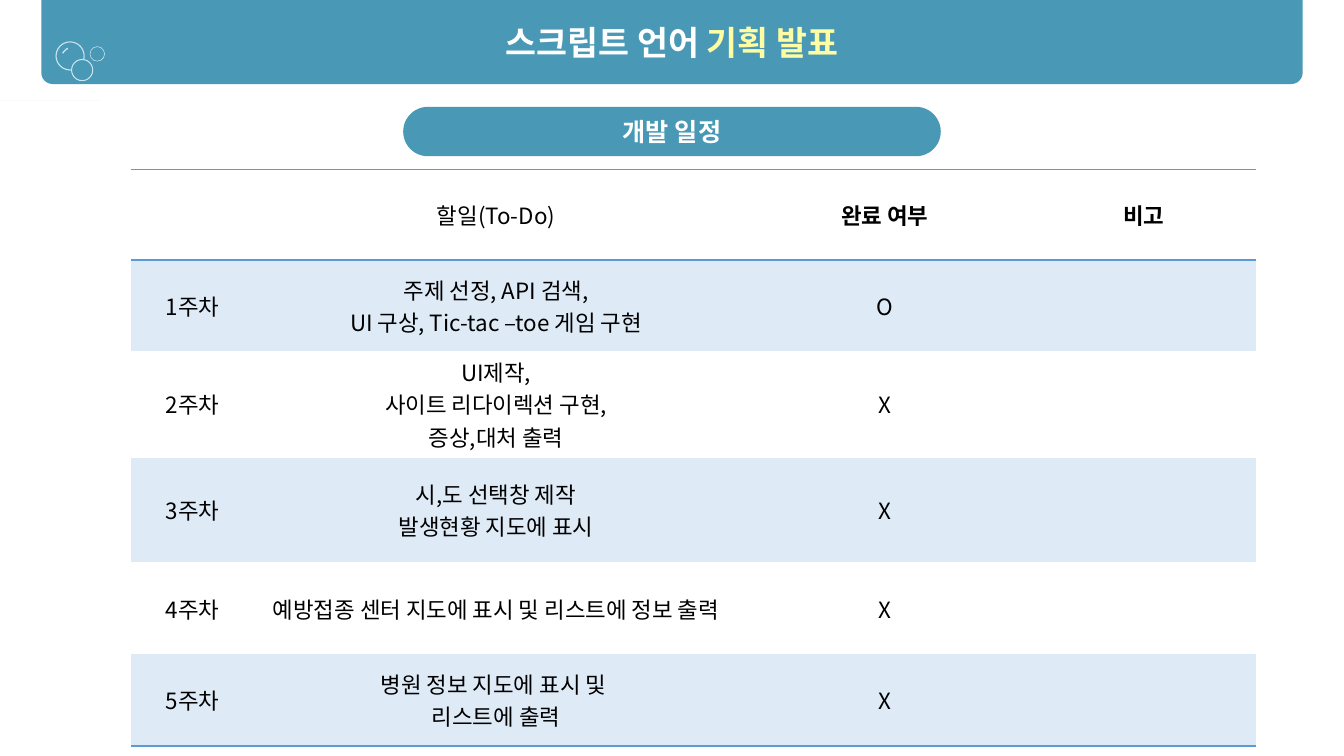
import math
import pptx
import pptx.util
import pptx.dml.color
import pptx.enum.shapes
import pptx.enum.text
import pptx.oxml
import pptx.oxml.ns
import lxml.etree

RGBColor = pptx.dml.color.RGBColor
TEAL = RGBColor(0x49, 0x99, 0xB6)
BUBBLE = RGBColor(0xC9, 0xE4, 0xED)
YELLOW = RGBColor(0xFE, 0xFD, 0xA3)
WHITE = RGBColor(0xFF, 0xFF, 0xFF)
BLACK = RGBColor(0, 0, 0)
BAND = RGBColor(0xDE, 0xEB, 0xF7)
RULE = RGBColor(0x5B, 0x9B, 0xD5)
FONT = "Noto Sans CJK KR"
NO_STYLE = "{2D5ABB26-0587-4C30-8999-92F81FD0307C}"
WIDTH, HEIGHT = 13.33, 7.5
MARGIN = 0.41
BAR_HEIGHT = HEIGHT / 9
BAR_WIDTH = WIDTH - 2 * MARGIN
PILL_WIDTH = WIDTH * 0.4

Inches = pptx.util.Inches
Kind = pptx.enum.shapes.MSO_SHAPE
CENTER = pptx.enum.text.PP_ALIGN.CENTER
MIDDLE = pptx.enum.text.MSO_ANCHOR.MIDDLE
qn = pptx.oxml.ns.qn


def add_run(paragraph, text, size, color, bold):
    paragraph.alignment = CENTER
    run = paragraph.add_run()
    run.text = text
    formats = {"name": FONT, "size": pptx.util.Pt(size), "bold": bold}
    for attribute, value in formats.items():
        setattr(run.font, attribute, value)
    run.font.color.rgb = color
    east_asian = lxml.etree.SubElement(run.font._element, qn("a:ea"))
    east_asian.set("typeface", FONT)


def paint(shape, fill, line=None):
    shape.shadow.inherit = False
    shape.fill.solid()
    shape.fill.fore_color.rgb = fill
    if line is None:
        shape.line.fill.background()
    else:
        shape.line.color.rgb = line
        shape.line.width = pptx.util.Pt(0.75)


presentation = pptx.Presentation()
presentation.slide_width = Inches(WIDTH)
presentation.slide_height = Inches(HEIGHT)
slide = presentation.slides.add_slide(presentation.slide_layouts[5])
shapes = slide.shapes

SHAPES = [
    (Kind.ROUND_2_SAME_RECTANGLE, MARGIN, 0, BAR_WIDTH, BAR_HEIGHT, [0, 0.134], TEAL, None),
    (Kind.DONUT, 0.55, 0.41, 0.29, 0.29, [0.038], BUBBLE, None),
    (Kind.BLOCK_ARC, 0.61, 0.47, 0.18, 0.18, [202 * 0.6, 252 * 0.6, 0.076], BUBBLE, None),
    (Kind.OVAL, 0.71, 0.59, 0.21, 0.21, [], TEAL, BUBBLE),
    (Kind.DONUT, 0.89, 0.46, 0.15, 0.15, [0.038], BUBBLE, None),
    (Kind.ROUNDED_RECTANGLE, (WIDTH - PILL_WIDTH) / 2, 1.06, PILL_WIDTH, 0.49, [0.5], TEAL, None),
]
for kind, left, top, width, height, adjustments, fill, line in SHAPES:
    shape = shapes.add_shape(kind, Inches(left), Inches(top), Inches(width), Inches(height))
    for index, adjustment in enumerate(adjustments):
        shape.adjustments[index] = adjustment
    paint(shape, fill, line)
pill = shape
pill.text_frame.vertical_anchor = MIDDLE
add_run(pill.text_frame.paragraphs[0], "개발 일정", 18, WHITE, True)

angles = [math.radians(angle) for angle in range(208, 376, 6)]
ring = [(0.51 + radius * math.cos(angle), 0.8 + radius * math.sin(angle))
        for radius, sweep in ((0.11, angles), (0.1, angles[::-1])) for angle in sweep]
builder = shapes.build_freeform(*ring[0], scale=Inches(1))
builder.add_line_segments(ring[1:], close=True)
paint(builder.convert_to_shape(), BUBBLE)

title = shapes.title
shapes.element.append(title.element)
place = {"left": MARGIN, "top": 0, "width": BAR_WIDTH, "height": BAR_HEIGHT}
for attribute, value in place.items():
    setattr(title, attribute, Inches(value))
title.text_frame.vertical_anchor = MIDDLE
for text, color in (("스크립트 언어 ", WHITE), ("기획 발표", YELLOW)):
    add_run(title.text_frame.paragraphs[0], text, 24, color, True)

COLUMNS = [1.22, 4.8, 2.91, 2.23]
ROWS = [0.9, 0.9, 0.91, 1.04, 0.91, 0.91]
SCHEDULE = [
    ["", "할일(To-Do)", "완료 여부", "비고"],
    ["1주차", "주제 선정, API 검색,\nUI 구상, Tic-tac –toe 게임 구현", "O", ""],
    ["2주차", "UI제작,\n사이트 리다이렉션 구현,\n증상,대처 출력", "X", ""],
    ["3주차", "시,도 선택창 제작\n발생현황 지도에 표시", "X", ""],
    ["4주차", "예방접종 센터 지도에 표시 및 리스트에 정보 출력", "X", ""],
    ["5주차", "병원 정보 지도에 표시 및 \n리스트에 출력", "X", ""],
]
frame = shapes.add_table(len(ROWS), len(COLUMNS), Inches(1.3), Inches(1.68),
                         Inches(sum(COLUMNS)), Inches(sum(ROWS)))
table = frame.table
table.first_row = False
table.horz_banding = False
table._tbl.tblPr.find(qn("a:tableStyleId")).text = NO_STYLE
for column, width in zip(table.columns, COLUMNS):
    column.width = Inches(width)
for row, height in zip(table.rows, ROWS):
    row.height = Inches(height)

BORDERS = {0: ["lnT", "lnB"], len(ROWS) - 1: ["lnB"]}
for row_index, texts in enumerate(SCHEDULE):
    for column_index, text in enumerate(texts):
        cell = table.cell(row_index, column_index)
        cell.vertical_anchor = MIDDLE
        if row_index % 2:
            cell.fill.solid()
            cell.fill.fore_color.rgb = BAND
        else:
            cell.fill.background()
        for position, side in enumerate(BORDERS.get(row_index, [])):
            border = pptx.oxml.parse_xml(
                f'<a:{side} {pptx.oxml.ns.nsdecls("a")} w="12700"><a:solidFill>'
                f'<a:srgbClr val="{RULE}"/></a:solidFill></a:{side}>')
            cell._tc.get_or_add_tcPr().insert(position, border)
        bold = row_index == 0 and column_index > 1
        for line_index, line in enumerate(text.split("\n") if text else []):
            text_frame = cell.text_frame
            paragraph = text_frame.add_paragraph() if line_index else text_frame.paragraphs[0]
            add_run(paragraph, line, 16, BLACK, bold)

presentation.save("out.pptx")
